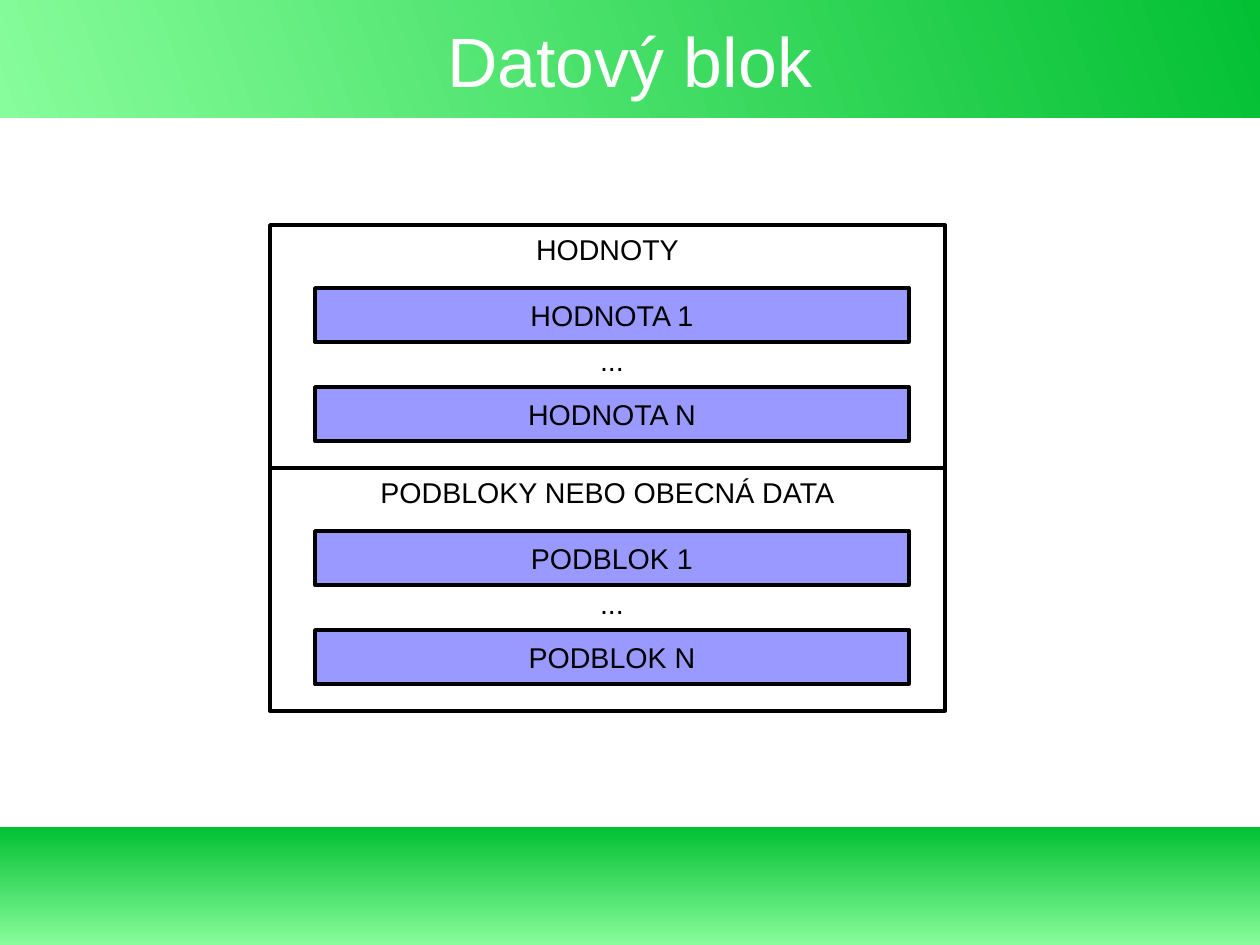
from pptx import Presentation, util as u
from pptx.dml.color import RGBColor
from pptx.enum import shapes, text

TITLE = "Datový blok"
PANELS = [
    ("HODNOTY", ["HODNOTA 1", "...", "HODNOTA N"]),
    ("PODBLOKY NEBO OBECNÁ DATA", ["PODBLOK 1", "...", "PODBLOK N"]),
]
COLORS = {
    "light": "87FD9B",
    "dark": "03C033",
    "bar": "9999FF",
    "ink": "000000",
    "title": "FFFFFF",
}
CM_PER_INCH = 2.54
WIDTH, HEIGHT = 28, 21
BAND_HEIGHT = 2.62
BANDS = [(0, 20), (HEIGHT - BAND_HEIGHT, 90)]
TITLE_BOX = (1.4, 0.44, 25.2, 1.78)
PANEL_LEFT, PANEL_TOP, PANEL_WIDTH, PANEL_HEIGHT = 6, 5, 15, 5.4
BAR_LEFT, BAR_WIDTH, BAR_HEIGHT = 7, 13.2, 1.2
ROW_OFFSETS = [1.4, 2.4, 3.6]
LABEL_FRAME = {
    "word_wrap": False,
    "vertical_anchor": text.MSO_ANCHOR.MIDDLE,
    "margin_left": u.Inches(0.11),
    "margin_right": u.Inches(0.11),
    "margin_top": u.Inches(0.06),
    "margin_bottom": u.Inches(0.06),
}
HEADING_FRAME = {**LABEL_FRAME, "vertical_anchor": text.MSO_ANCHOR.TOP}
TITLE_FRAME = {
    "word_wrap": True,
    "vertical_anchor": text.MSO_ANCHOR.MIDDLE,
    "margin_left": 0,
    "margin_right": 0,
    "margin_top": 0,
    "margin_bottom": 0,
}


def color(name):
    return RGBColor.from_string(COLORS[name])


def length(centimetres):
    return u.Inches(centimetres / CM_PER_INCH)


def add_rectangle(slide, box):
    shape = slide.shapes.add_shape(
        shapes.MSO_SHAPE.RECTANGLE, *map(length, box))
    shape.shadow.inherit = False
    return shape


def add_band(slide, top, angle):
    shape = add_rectangle(slide, (0, top, WIDTH, BAND_HEIGHT))
    shape.line.fill.background()
    shape.fill.gradient()
    shape.fill.gradient_angle = angle
    for stop, name in zip(shape.fill.gradient_stops, ("light", "dark")):
        stop.color.rgb = color(name)


def add_outlined(slide, box, fill=None):
    shape = add_rectangle(slide, box)
    if fill:
        shape.fill.solid()
        shape.fill.fore_color.rgb = color(fill)
    else:
        shape.fill.background()
    shape.line.color.rgb = color("ink")
    shape.line.width = u.Pt(2.3)
    return shape


def write(shape, words, frame_format, size=18, ink="ink"):
    frame = shape.text_frame
    for name, value in frame_format.items():
        setattr(frame, name, value)
    paragraph = frame.paragraphs[0]
    paragraph.alignment = text.PP_ALIGN.CENTER
    run = paragraph.add_run()
    run.text = words
    for name, value in {"name": "Arial", "size": u.Pt(size)}.items():
        setattr(run.font, name, value)
    run.font.color.rgb = color(ink)


def add_panel(slide, top, heading, rows):
    panel = add_outlined(slide, (PANEL_LEFT, top, PANEL_WIDTH, PANEL_HEIGHT))
    write(panel, heading, HEADING_FRAME)
    for offset, words in zip(ROW_OFFSETS, rows):
        box = (BAR_LEFT, top + offset, BAR_WIDTH, BAR_HEIGHT)
        if words == "...":
            label = slide.shapes.add_textbox(*map(length, box))
        else:
            label = add_outlined(slide, box, "bar")
        write(label, words, LABEL_FRAME)


def main():
    presentation = Presentation()
    presentation.slide_width = length(WIDTH)
    presentation.slide_height = length(HEIGHT)
    slide = presentation.slides.add_slide(presentation.slide_layouts[6])
    for top, angle in BANDS:
        add_band(slide, top, angle)
    title = slide.shapes.add_textbox(*map(length, TITLE_BOX))
    write(title, TITLE, TITLE_FRAME, 44, "title")
    for index, (heading, rows) in enumerate(PANELS):
        add_panel(slide, PANEL_TOP + index * PANEL_HEIGHT, heading, rows)
    presentation.save("out.pptx")


if __name__ == "__main__":
    main()
